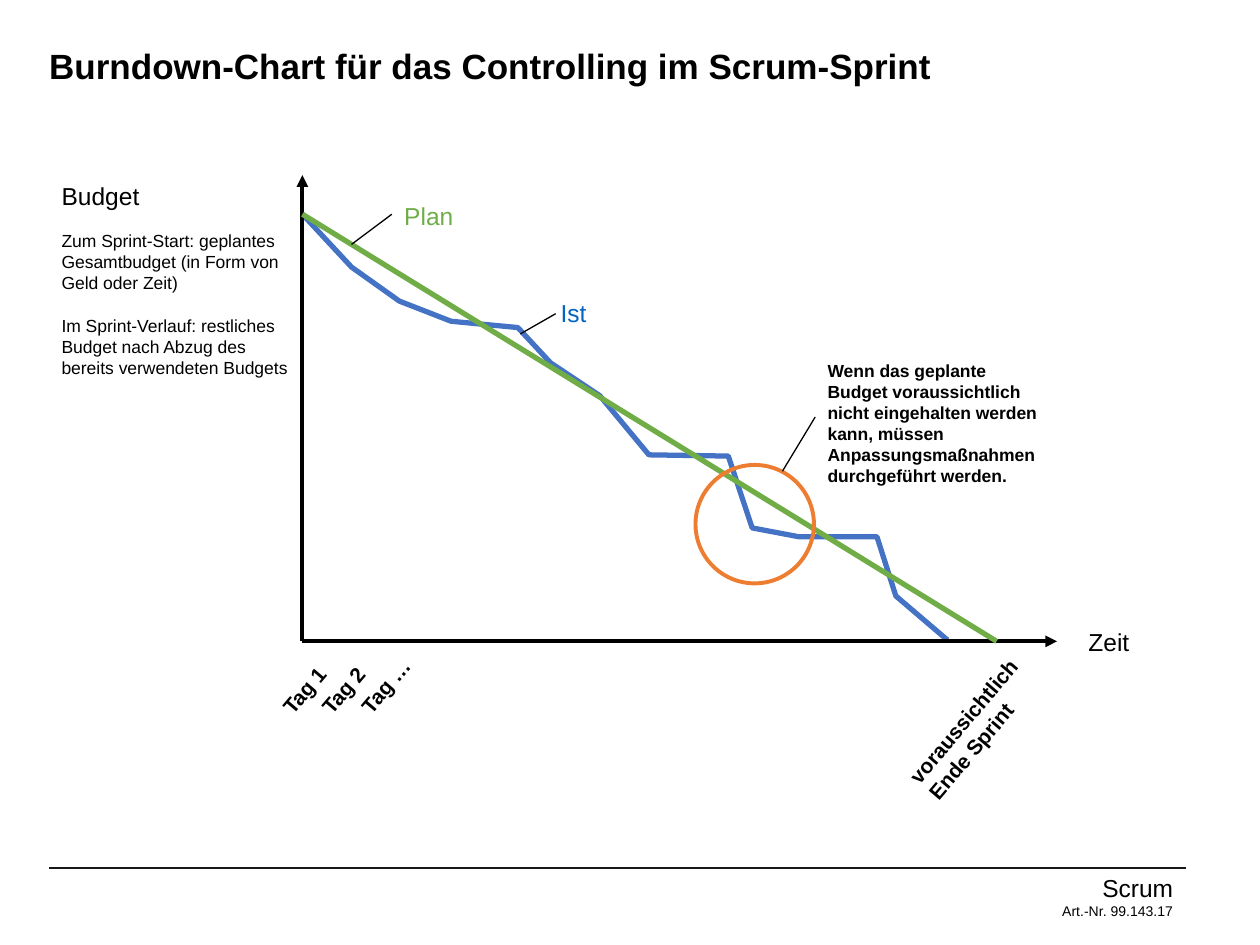
from lxml import etree
from pptx import Presentation
from pptx.dml.color import RGBColor
from pptx.enum.shapes import MSO_CONNECTOR, MSO_SHAPE
from pptx.enum.text import MSO_AUTO_SIZE, PP_ALIGN
from pptx.oxml.ns import qn
from pptx.util import Inches, Pt

STRAIGHT = MSO_CONNECTOR.STRAIGHT
OVAL = MSO_SHAPE.OVAL
GROW = MSO_AUTO_SIZE.SHAPE_TO_FIT_TEXT
LEFT, RIGHT = PP_ALIGN.LEFT, PP_ALIGN.RIGHT

BLACK, GREEN, BLUE, LINK_BLUE, ORANGE = "000000", "70AD47", "4472C4", "0563C1", "ED7D31"
DAY_ANGLE = 310.3

TITLE = "Burndown-Chart für das Controlling im Scrum-Sprint"
BUDGET_NOTES = [
    "Zum Sprint-Start: geplantes Gesamtbudget (in Form von Geld oder Zeit)",
    "Im Sprint-Verlauf: restliches Budget nach Abzug des bereits verwendeten Budgets",
]
WARNING = ("Wenn das geplante Budget voraussichtlich nicht eingehalten werden kann, "
           "müssen Anpassungsmaßnahmen durchgeführt werden.")

ORIGIN = (2.4, 5.09)
BUDGET_START = (2.4, 1.7)
PLAN_END = (7.91, 5.09)
ACTUAL = [
    BUDGET_START, (2.79, 2.12), (3.17, 2.39), (3.58, 2.55), (4.11, 2.6),
    (4.37, 2.88), (4.76, 3.14), (5.15, 3.61), (5.78, 3.62), (5.97, 4.19),
    (6.34, 4.26), (6.96, 4.26), (7.11, 4.73), (7.52, 5.08),
]
AXIS_ENDS = [(2.4, 1.39), (8.39, 5.09)]
CALLOUTS = [
    ((3.11, 1.7), (2.79, 1.94)),
    ((4.41, 2.49), (4.13, 2.65)),
    ((6.47, 3.31), (6.21, 3.74)),
]
# text, colour, box
CHART_LABELS = [
    ("Budget", BLACK, (0.39, 1.39, 0.82, 0.33)),
    ("Zeit", BLACK, (8.54, 4.93, 0.54, 0.33)),
    ("Plan", GREEN, (3.11, 1.55, 0.59, 0.33)),
    ("Ist", LINK_BLUE, (4.35, 2.32, 0.41, 0.33)),
]
DAYS = [
    ("Tag 1", (2.1, 5.32, 0.64, 0.3)),
    ("Tag 2", (2.41, 5.32, 0.64, 0.3)),
    ("Tag …", (2.71, 5.29, 0.71, 0.3)),
]


def rgb(value):
    return RGBColor.from_string(value)


def set_line(outlined, color, width):
    outlined.line.color.rgb = rgb(color)
    outlined.line.width = Pt(width)


def add_text(slide, paragraphs, box, sizes, color=BLACK, bold=False, wrap=True,
             align=LEFT, rotation=0, inset=None, gap=0, line_spacing=None):
    """Add a text box; sizes holds one point size per paragraph."""
    holder = slide.shapes.add_textbox(*map(Inches, box))
    holder.rotation = rotation
    frame = holder.text_frame
    frame.word_wrap = wrap
    if not wrap:
        frame.auto_size = GROW
    if inset is not None:
        frame.margin_left = frame.margin_right = Inches(inset)
        frame.margin_top = frame.margin_bottom = Inches(inset)
    for index, (text, size) in enumerate(zip(paragraphs, sizes)):
        paragraph = frame.add_paragraph() if index else frame.paragraphs[0]
        paragraph.text = text
        paragraph.alignment = align
        if line_spacing:
            paragraph.line_spacing = line_spacing
        if index and gap:
            paragraph.space_before = Pt(gap)
        font = paragraph.font
        font.name, font.size, font.bold = "Arial", Pt(size), bold
        font.color.rgb = rgb(color)


def add_line(slide, start, end, color, width, arrow=False):
    connector = slide.shapes.add_connector(STRAIGHT, *map(Inches, start + end))
    set_line(connector, color, width)
    if arrow:
        etree.SubElement(connector.line._get_or_add_ln(), qn("a:tailEnd"), type="triangle")
    etree.SubElement(connector._element.spPr, qn("a:effectLst"))


def add_outline(shape, color, width):
    shape.shadow.inherit = False
    shape.fill.background()
    set_line(shape, color, width)


def add_actual_curve(slide):
    points = [(Inches(x), Inches(y)) for x, y in ACTUAL]
    builder = slide.shapes.build_freeform(*points[0])
    builder.add_line_segments(points[1:], close=False)
    add_outline(builder.convert_to_shape(), BLUE, 3)


def main():
    deck = Presentation()
    deck.slide_width, deck.slide_height = Inches(10), Inches(7.5)
    slide = deck.slides.add_slide(deck.slide_layouts[6])

    add_text(slide, ["Scrum", "Art.-Nr. 99.143.17"], (6.34, 6.88, 3.07, 0.49),
             [14, 8], align=RIGHT)
    add_line(slide, (0.39, 6.89), (9.41, 6.89), "181717", 0.75)
    add_text(slide, [TITLE], (0.39, 0.39, 8.62, 0.98), [20], bold=True,
             inset=0, line_spacing=0.9)

    add_actual_curve(slide)
    for end in AXIS_ENDS:
        add_line(slide, ORIGIN, end, BLACK, 2.25, arrow=True)
    add_line(slide, BUDGET_START, PLAN_END, GREEN, 3)

    for text, color, box in CHART_LABELS:
        add_text(slide, [text], box, [14], color, wrap=False)
    for day, box in DAYS:
        add_text(slide, [day], box, [12], bold=True, wrap=False, rotation=DAY_ANGLE)
    add_text(slide, ["voraussichtlich", "Ende Sprint"], (6.99, 5.49, 1.54, 0.5),
             [12, 12], bold=True, rotation=DAY_ANGLE)

    risk_circle = slide.shapes.add_shape(OVAL, *map(Inches, (5.52, 3.69, 0.94, 0.94)))
    add_outline(risk_circle, ORANGE, 2.25)
    add_text(slide, [WARNING], (6.47, 2.81, 1.93, 1.1), [10], bold=True)
    add_text(slide, BUDGET_NOTES, (0.39, 1.78, 2.01, 1.27), [10, 10], gap=12)
    for start, end in CALLOUTS:
        add_line(slide, start, end, BLACK, 0.75)

    deck.save("out.pptx")


if __name__ == "__main__":
    main()
